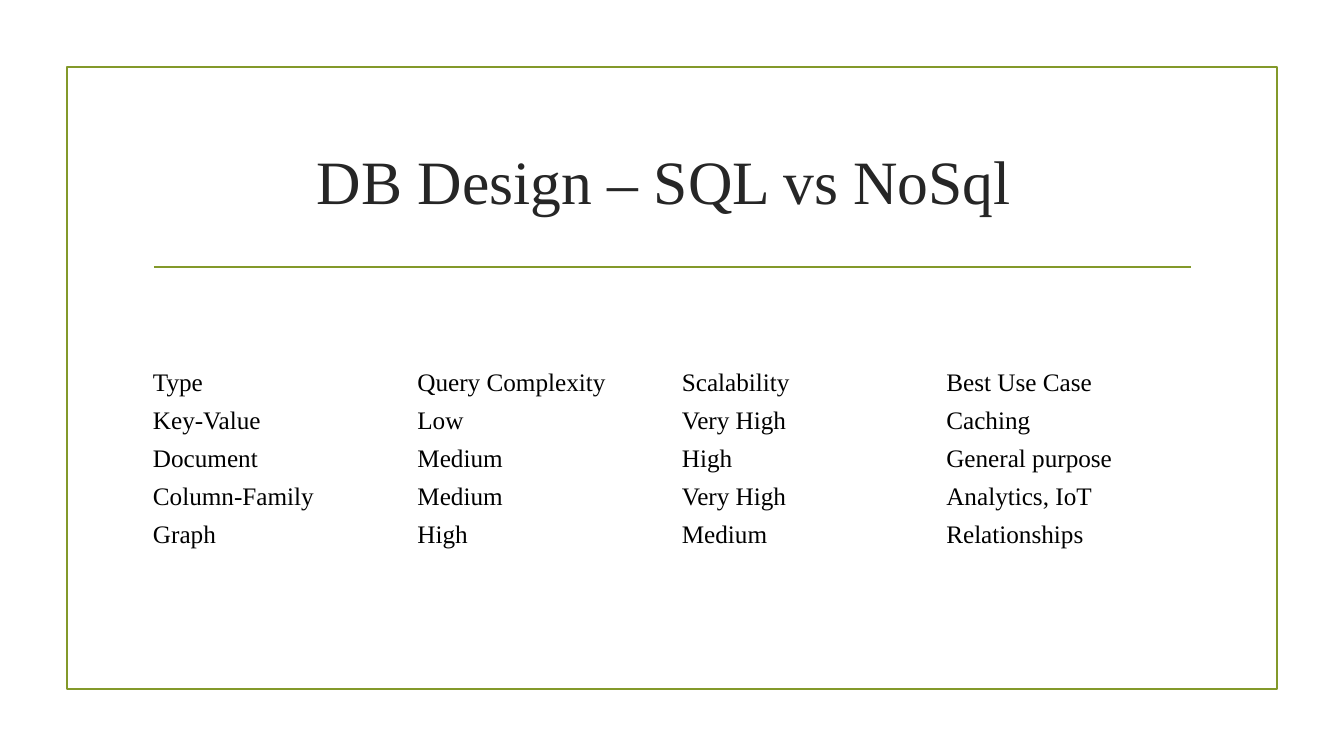
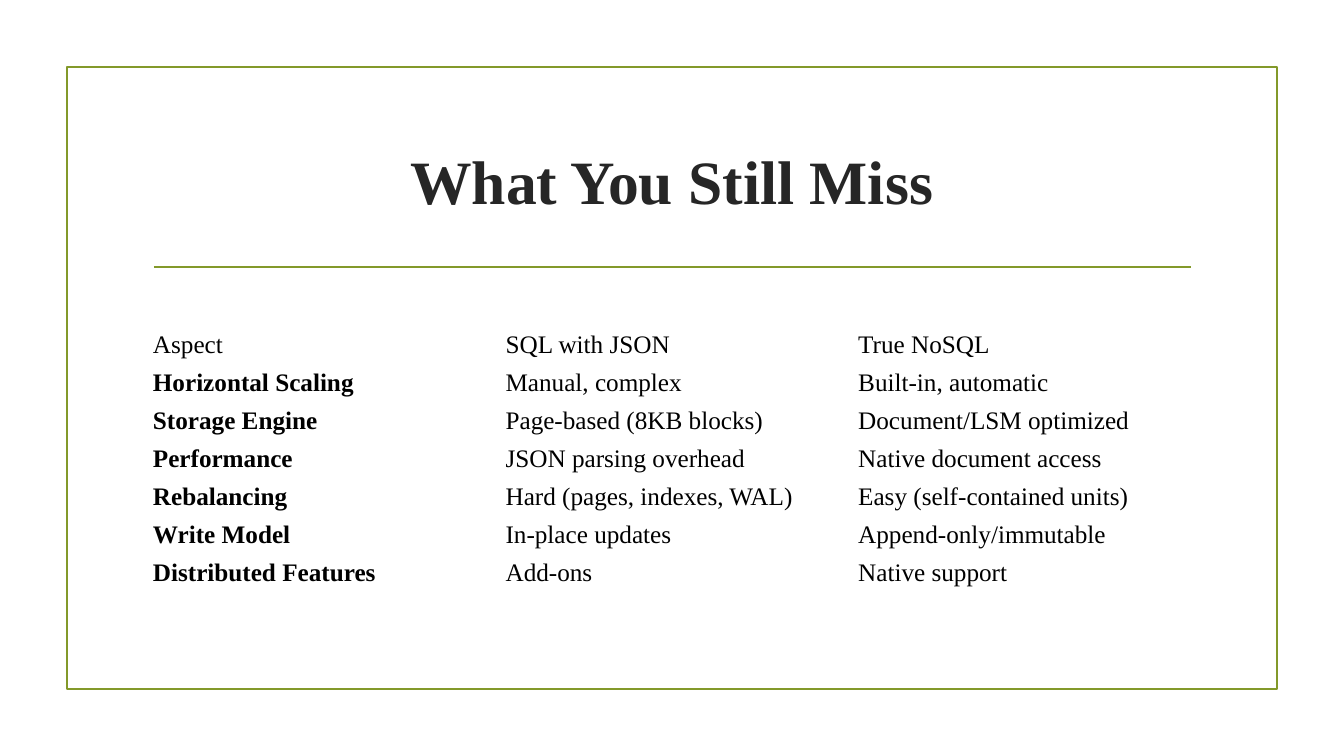
import pptx
import pptx.dml.color
import pptx.enum.shapes
import pptx.enum.text
import pptx.oxml.ns
import pptx.util
import lxml.etree

FONT = "Times New Roman"
GREEN, TITLE_COLOR, TEXT_COLOR = "83992A", "262626", "000000"
LEFT, WIDTH = 143, 1058
ROW_HEIGHT = 38
TABLE_CENTER = 458

SLIDES = [
    {
        "title": "DB Design – SQL vs NoSql ",
        "bold": False,
        "rows": [
            ["Type", "Query Complexity", "Scalability", "Best Use Case"],
            ["Key-Value", "Low", "Very High", "Caching"],
            ["Document", "Medium", "High", "General purpose"],
            ["Column-Family", "Medium", "Very High", "Analytics, IoT"],
            ["Graph", "High", "Medium", "Relationships"],
        ],
    },
    {
        "title": "What You Still Miss",
        "bold": True,
        "rows": [
            ["Aspect", "SQL with JSON", "True NoSQL"],
            ["Horizontal Scaling", "Manual, complex", "Built-in, automatic"],
            ["Storage Engine", "Page-based (8KB blocks)", "Document/LSM optimized"],
            ["Performance", "JSON parsing overhead", "Native document access"],
            ["Rebalancing", "Hard (pages, indexes, WAL)", "Easy (self-contained units)"],
            ["Write Model", "In-place updates", "Append-only/immutable"],
            ["Distributed Features", "Add-ons", "Native support"],
        ],
    },
]


def px(length):
    return pptx.util.Emu(round(length * 914400 / 100.8))


def color(value):
    return pptx.dml.color.RGBColor.from_string(value)


presentation = pptx.Presentation()
presentation.slide_width = px(1344)
presentation.slide_height = px(756)

for content in SLIDES:
    slide = presentation.slides.add_slide(presentation.slide_layouts[5])

    frame = slide.shapes.add_shape(
        pptx.enum.shapes.MSO_SHAPE.RECTANGLE, px(67), px(67), px(1210), px(622)
    )
    frame.shadow.inherit = False
    frame.fill.background()
    rule = slide.shapes.add_connector(
        pptx.enum.shapes.MSO_CONNECTOR.STRAIGHT, px(154), px(267), px(1191), px(267)
    )
    properties = rule.element.find(pptx.oxml.ns.qn("p:spPr"))
    for shape in (frame, rule):
        shape.line.color.rgb = color(GREEN)
        shape.line.width = pptx.util.Pt(1.25)
    lxml.etree.SubElement(properties, pptx.oxml.ns.qn("a:effectLst"))

    title = slide.shapes.title
    title.left, title.top, title.width, title.height = px(LEFT), px(108), px(WIDTH), px(144)
    title.text_frame.text = content["title"]
    title.text_frame.vertical_anchor = pptx.enum.text.MSO_ANCHOR.MIDDLE
    paragraph = title.text_frame.paragraphs[0]
    paragraph.alignment = pptx.enum.text.PP_ALIGN.CENTER
    paragraph.font.name = FONT
    paragraph.font.size = pptx.util.Pt(44)
    paragraph.font.bold = content["bold"]
    paragraph.font.color.rgb = color(TITLE_COLOR)

    rows = content["rows"]
    height = ROW_HEIGHT * len(rows)
    table = slide.shapes.add_table(
        len(rows), len(rows[0]), px(LEFT), px(TABLE_CENTER - height // 2 + 1), px(WIDTH), px(height)
    ).table
    table.first_row = False
    table.horz_banding = False
    for row_index, row in enumerate(rows):
        for column_index, text in enumerate(row):
            cell = table.cell(row_index, column_index)
            cell.fill.background()
            cell.vertical_anchor = pptx.enum.text.MSO_ANCHOR.MIDDLE
            cell.margin_left = cell.margin_right = px(10)
            cell.margin_top = cell.margin_bottom = px(4)
            cell.text = text
            paragraph = cell.text_frame.paragraphs[0]
            paragraph.font.name = FONT
            paragraph.font.size = pptx.util.Pt(18)
            paragraph.font.bold = content["bold"] and row_index > 0 and column_index == 0
            paragraph.font.color.rgb = color(TEXT_COLOR)

presentation.save("out.pptx")
